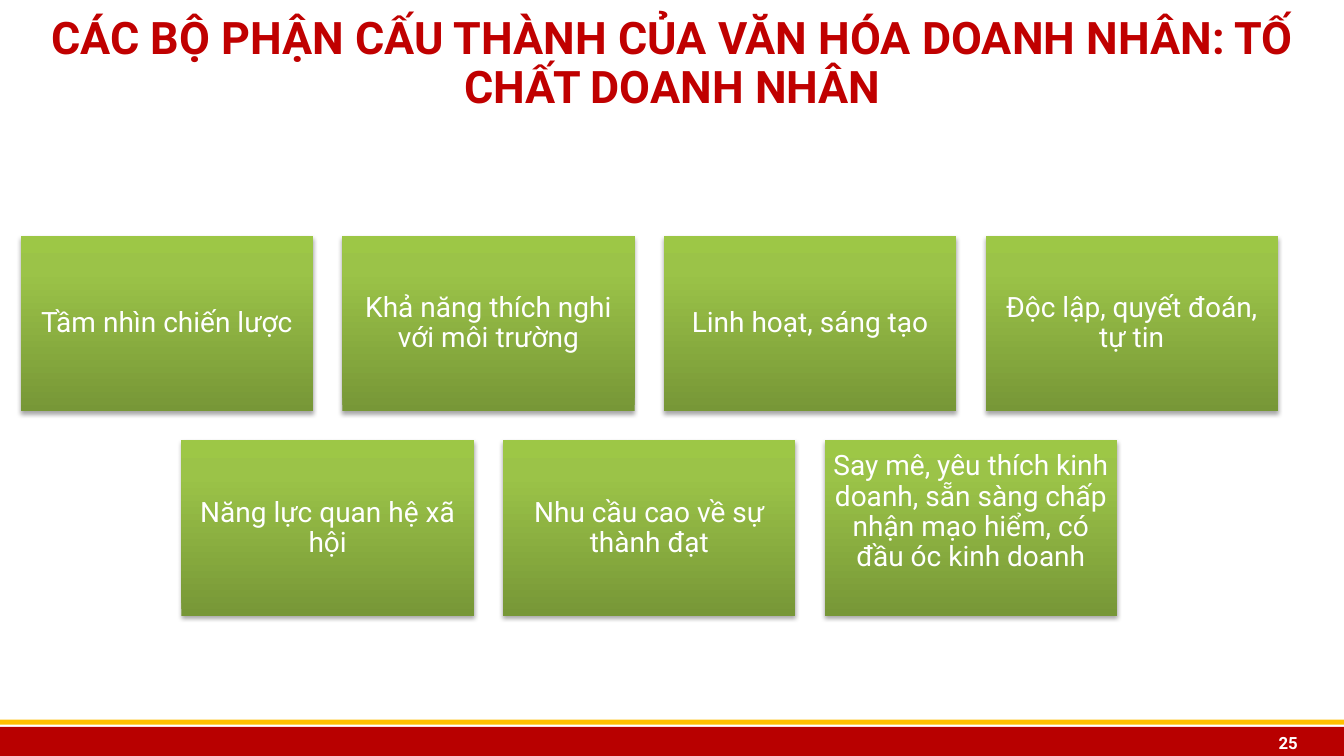
from copy import deepcopy
from dataclasses import dataclass

from lxml import etree
from pptx import Presentation
from pptx import util as u
from pptx.dml.color import RGBColor
from pptx.enum import shapes, text
from pptx.oxml import ns

COLORS = {
    "title": "C00000",
    "footer": "B80000",
    "stripe": "FFC000",
    "white": "FFFFFF",
    "shadow": "000000",
}
GREEN_STOPS = [(0, "779737"), (0.8, "9BC348"), (1, "9DC746")]
FONT = "Roboto"

# Card grid, in inches: each row is centred on the same axis
CARD_WIDTH, CARD_HEIGHT, GAP = 2.9, 1.74, 0.29
GRID_CENTER, GRID_TOP = 6.44, 2.34
INSET = 0.08


@dataclass
class Band:
    left: float
    top: float
    width: float
    height: float
    color: str


@dataclass
class Trait:
    label: str
    bottom_inset: float = INSET


@dataclass
class Label:
    content: str
    left: float
    top: float
    width: float
    height: float
    size: int
    color: str
    align: text.PP_ALIGN
    line_spacing: float = 1.0
    vertical_inset: float = 0.05


BANDS = [
    Band(0, 7.21, 13.33, 0.31, "footer"),
    Band(-0.01, 7.14, 13.36, 0.05, "stripe"),
]
LABELS = [
    Label("CÁC BỘ PHẬN CẤU THÀNH CỦA VĂN HÓA DOANH NHÂN: TỐ CHẤT DOANH NHÂN",
          0.37, 0.05, 12.6, 1.18, 32, "title", text.PP_ALIGN.CENTER, 0.9),
    Label("25", 12.1, 7.21, 0.87, 0.31, 12, "white", text.PP_ALIGN.RIGHT,
          vertical_inset=0),
]
TRAIT_ROWS = [
    [
        Trait("Tầm nhìn chiến lược"),
        Trait("Khả năng thích nghi với môi trường"),
        Trait("Linh hoạt, sáng tạo"),
        Trait("Độc lập, quyết đoán, tự tin"),
    ],
    [
        Trait("Năng lực quan hệ xã hội"),
        Trait("Nhu cầu cao về sự thành đạt"),
        Trait("Say mê, yêu thích kinh doanh, sẵn sàng chấp nhận mạo hiểm, "
              "có đầu óc kinh doanh", bottom_inset=0.4),
    ],
]


def rgb(name: str) -> RGBColor:
    return RGBColor.from_string(COLORS[name])


def add_rectangle(slide, left: float, top: float, width: float, height: float):
    rectangle = slide.shapes.add_shape(
        shapes.MSO_SHAPE.RECTANGLE,
        u.Inches(left), u.Inches(top), u.Inches(width), u.Inches(height))
    rectangle.shadow.inherit = False
    rectangle.line.fill.background()
    return rectangle


def write(frame, content: str, size: int, color: str, align: text.PP_ALIGN,
          line_spacing: float, bold: bool) -> None:
    frame.word_wrap = True
    frame.vertical_anchor = text.MSO_ANCHOR.MIDDLE
    paragraph = frame.paragraphs[0]
    paragraph.text = content
    paragraph.alignment = align
    paragraph.line_spacing = line_spacing
    paragraph.font.name = FONT
    paragraph.font.size = u.Pt(size)
    paragraph.font.bold = bold
    paragraph.font.color.rgb = rgb(color)


def add_band(slide, band: Band) -> None:
    bar = add_rectangle(slide, band.left, band.top, band.width, band.height)
    bar.fill.solid()
    bar.fill.fore_color.rgb = rgb(band.color)


def add_label(slide, label: Label) -> None:
    box = slide.shapes.add_textbox(
        u.Inches(label.left), u.Inches(label.top),
        u.Inches(label.width), u.Inches(label.height))
    frame = box.text_frame
    frame.margin_top = frame.margin_bottom = u.Inches(label.vertical_inset)
    write(frame, label.content, label.size, label.color, label.align,
          label.line_spacing, True)


def fill_gradient(card) -> None:
    card.fill.gradient()
    card.fill.gradient_angle = 90
    stop_list = card._element.spPr.find(".//" + ns.qn("a:gsLst"))
    stop_list.append(deepcopy(stop_list[-1]))
    for stop, (position, color) in zip(card.fill.gradient_stops, GREEN_STOPS):
        stop.position = position
        stop.color.rgb = RGBColor.from_string(color)


def drop_shadow(card) -> None:
    effects = card._element.spPr.find(ns.qn("a:effectLst"))
    shadow = etree.SubElement(
        effects, ns.qn("a:outerShdw"), blurRad=str(u.Pt(3.1)),
        dist=str(u.Pt(1.8)), dir="5400000", rotWithShape="0")
    color = etree.SubElement(shadow, ns.qn("a:srgbClr"), val=COLORS["shadow"])
    etree.SubElement(color, ns.qn("a:alpha"), val="35000")


def add_card(slide, trait: Trait, left: float, top: float) -> None:
    card = add_rectangle(slide, left, top, CARD_WIDTH, CARD_HEIGHT)
    fill_gradient(card)
    drop_shadow(card)
    frame = card.text_frame
    frame.margin_left = frame.margin_right = frame.margin_top = u.Inches(INSET)
    frame.margin_bottom = u.Inches(trait.bottom_inset)
    write(frame, trait.label, 20, "white", text.PP_ALIGN.CENTER, 0.9, False)


def main() -> None:
    deck = Presentation()
    deck.slide_width, deck.slide_height = u.Inches(13.33), u.Inches(7.5)
    slide = deck.slides.add_slide(deck.slide_layouts[6])

    # Footer bands, title and page number
    for band in BANDS:
        add_band(slide, band)
    for label in LABELS:
        add_label(slide, label)

    # Trait cards
    for row, traits in enumerate(TRAIT_ROWS):
        row_width = len(traits) * (CARD_WIDTH + GAP) - GAP
        top = GRID_TOP + row * (CARD_HEIGHT + GAP)
        for column, trait in enumerate(traits):
            left = GRID_CENTER - row_width / 2 + column * (CARD_WIDTH + GAP)
            add_card(slide, trait, left, top)

    deck.save("out.pptx")


if __name__ == "__main__":
    main()
